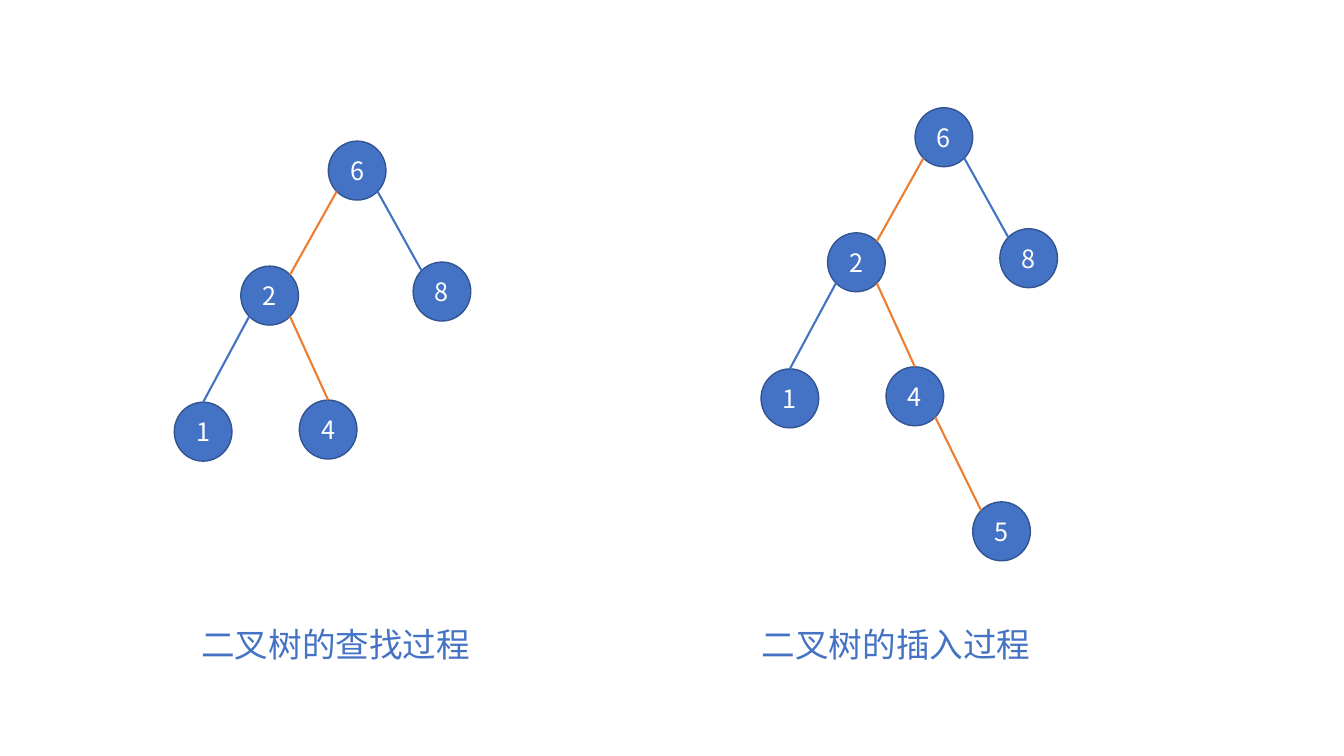
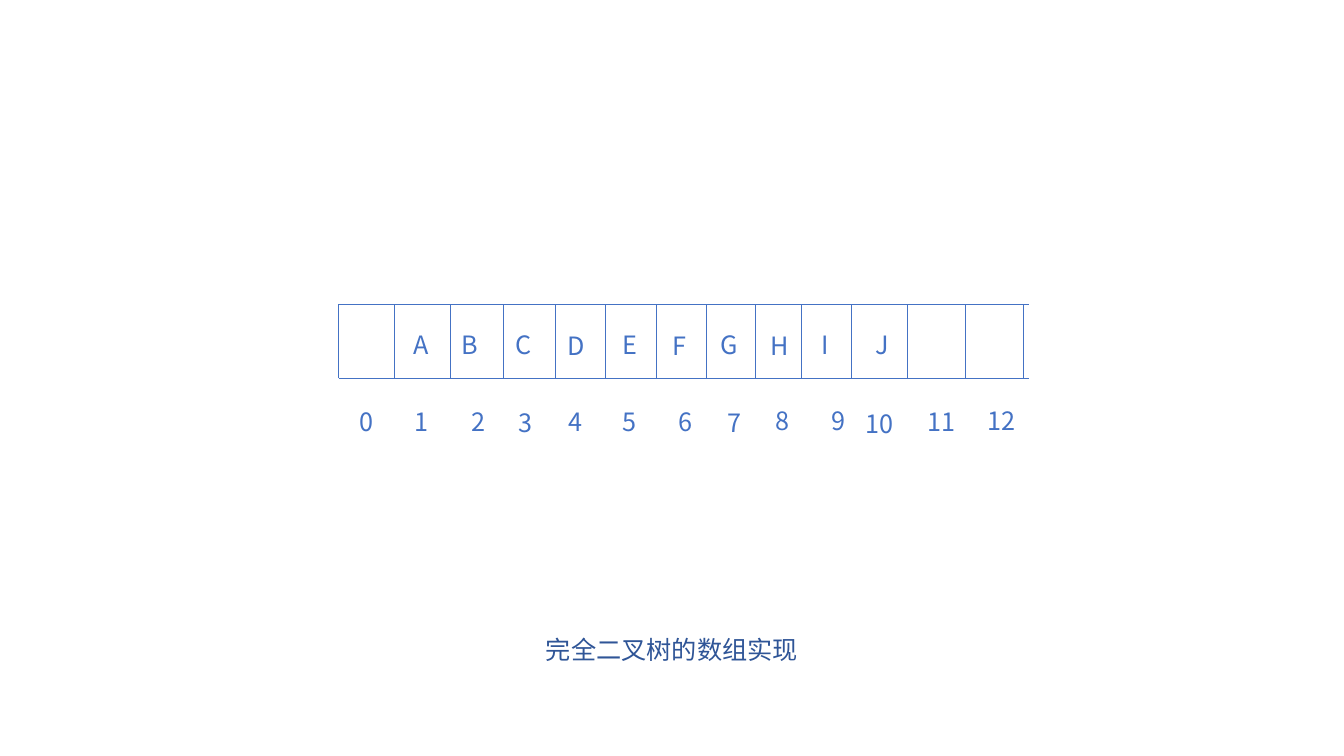
from lxml.etree import SubElement
from pptx import Presentation
from pptx.dml.color import RGBColor
from pptx.enum.shapes import MSO_CONNECTOR, MSO_SHAPE
from pptx.enum.text import MSO_ANCHOR, MSO_AUTO_SIZE, PP_ALIGN
from pptx.oxml.ns import qn
from pptx.util import Pt
from math import sqrt

BLUE = RGBColor(0x44, 0x72, 0xC4)
RIM = RGBColor(0x32, 0x54, 0x91)
NAVY = RGBColor(0x2F, 0x55, 0x97)
ORANGE = RGBColor(0xED, 0x7D, 0x31)
WHITE = RGBColor(0xFF, 0xFF, 0xFF)
FACE = "Noto Sans CJK SC"

OVAL = MSO_SHAPE.OVAL
LINE = MSO_CONNECTOR.STRAIGHT
CENTER = PP_ALIGN.CENTER
TOP, MIDDLE = MSO_ANCHOR.TOP, MSO_ANCHOR.MIDDLE
GROW, FIXED = MSO_AUTO_SIZE.SHAPE_TO_FIT_TEXT, MSO_AUTO_SIZE.NONE

LABEL = {"word_wrap": True, "auto_size": GROW, "vertical_anchor": TOP}
INSIDE = {"word_wrap": True, "auto_size": FIXED, "vertical_anchor": MIDDLE}

# Tree geometry, in points from the top left of the tree
NODE_W, NODE_H = 41.2, 42.1
SPOTS = {"6": (110, 0), "2": (47.5, 89.3), "8": (170.6, 86.4),
         "1": (0, 186.5), "4": (89.3, 185), "5": (151.2, 281.5)}
# Connection sites of an oval, as fractions of its box
NEAR, FAR = 0.5 - sqrt(0.125), 0.5 + sqrt(0.125)
SITES = {0: (0.5, 0), 1: (NEAR, NEAR), 3: (NEAR, FAR),
         5: (FAR, FAR), 7: (FAR, NEAR)}
# Parent, its site, child, its site, colour
EDGES = [("6", 5, "8", 1, BLUE), ("6", 3, "2", 7, ORANGE),
         ("2", 3, "1", 0, BLUE), ("2", 5, "4", 0, ORANGE),
         ("4", 5, "5", 1, ORANGE)]

# Array geometry, in points from the top left of the array
ARRAY_W, ARRAY_H = 493.2, 52.6
BARS = [0, 39.6, 79.9, 117.4, 154.8, 190.8, 226.8, 262.8, 297.4, 330.5,
        366.5, 406.1, 447.8, 488.9]
# Text, left and downward shift of each label
KEYS = [("A", 46.1, 0), ("B", 80.6, 0), ("C", 118.8, 0), ("D", 156.2, 0.7),
        ("E", 195.1, 0), ("F", 230.4, 0.7), ("G", 265.7, 0),
        ("H", 301.7, 0.7), ("I", 334.8, 0), ("J", 375.1, 0)]
SLOTS = [("0", 0, 0), ("1", 39.6, 0), ("2", 79.9, 0), ("3", 113.8, 0.7),
         ("4", 149, 0), ("5", 187.9, 0), ("6", 228.2, 0), ("7", 262.8, 0.7),
         ("8", 297.4, -0.7), ("9", 337, -0.7), ("10", 366.5, 1.4),
         ("11", 411.1, 0), ("12", 453.6, -0.7)]


def assign(target, values):
    for name, value in values.items():
        setattr(target, name, value)


def write(shape, text, size, color, frame=LABEL):
    assign(shape.text_frame, frame)
    par = shape.text_frame.paragraphs[0]
    par.alignment = CENTER
    run = par.add_run()
    run.text = text
    assign(run.font, {"name": FACE, "size": Pt(size)})
    run.font.color.rgb = color
    SubElement(run.font._element, qn("a:ea"), typeface=FACE)


def label(slide, text, box, size=18, color=BLUE):
    shape = slide.shapes.add_textbox(*map(Pt, box))
    write(shape, text, size, color)


def link(slide, start, end, color, width):
    line = slide.shapes.add_connector(LINE, *map(Pt, (*start, *end)))
    line.line.color.rgb = color
    line.line.width = Pt(width)
    SubElement(line._element.spPr, qn("a:effectLst"))
    return line


def node(slide, text, left, top):
    shape = slide.shapes.add_shape(OVAL, *map(Pt, (left, top, NODE_W, NODE_H)))
    shape.shadow.inherit = False
    shape.fill.solid()
    shape.fill.fore_color.rgb = BLUE
    shape.line.color.rgb = RIM
    shape.line.width = Pt(1)
    write(shape, text, 18, WHITE, INSIDE)
    return shape


def tree(slide, left, top, names):
    """Draw the named nodes and glue the edges between them."""
    nodes = {name: node(slide, name, left + SPOTS[name][0],
                        top + SPOTS[name][1]) for name in names}

    def point(name, site):
        (x, y), (across, down) = SPOTS[name], SITES[site]
        return left + x + across * NODE_W, top + y + down * NODE_H

    for parent, exit, child, entry, color in EDGES:
        if child not in nodes:
            continue
        line = link(slide, point(parent, exit), point(child, entry), color, 1.5)
        glue = line._element.nvCxnSpPr.cNvCxnSpPr
        for tag, name, site in (("a:stCxn", parent, exit),
                                ("a:endCxn", child, entry)):
            SubElement(glue, qn(tag), id=str(nodes[name].shape_id),
                       idx=str(site))


def array(slide, left, top):
    """Draw an open-ended row of cells with letters inside and indices below."""
    for y in (top, top + ARRAY_H):
        link(slide, (left, y), (left + ARRAY_W, y), BLUE, 0.5)
    for x in BARS:
        link(slide, (left + x, top), (left + x, top + ARRAY_H), BLUE, 0.5)
    for row, drop, width in ((KEYS, 14.4, 25.9), (SLOTS, 69.1, 39.6)):
        for text, x, shift in row:
            label(slide, text, (left + x, top + drop + shift, width, 28.8))


def trees(deck):
    slide = deck.slides.add_slide(deck.slide_layouts[6])
    tree(slide, 124.5, 100.8, "62814")
    label(slide, "二叉树的查找过程", (107.3, 442, 265, 36), 24)
    tree(slide, 543.6, 77, "628145")
    label(slide, "二叉树的插入过程", (433.5, 442, 413.3, 36), 24)


def storage(deck):
    slide = deck.slides.add_slide(deck.slide_layouts[5])
    title = slide.shapes.title
    assign(title, {"left": Pt(156), "top": Pt(449.3),
                   "width": Pt(648), "height": Pt(28.8)})
    write(title, "完全二叉树的数组实现", 18, NAVY)
    array(slide, 241.9, 217.4)


def main():
    deck = Presentation()
    assign(deck, {"slide_width": Pt(960), "slide_height": Pt(540)})
    trees(deck)
    storage(deck)
    deck.save("out.pptx")


if __name__ == "__main__":
    main()
